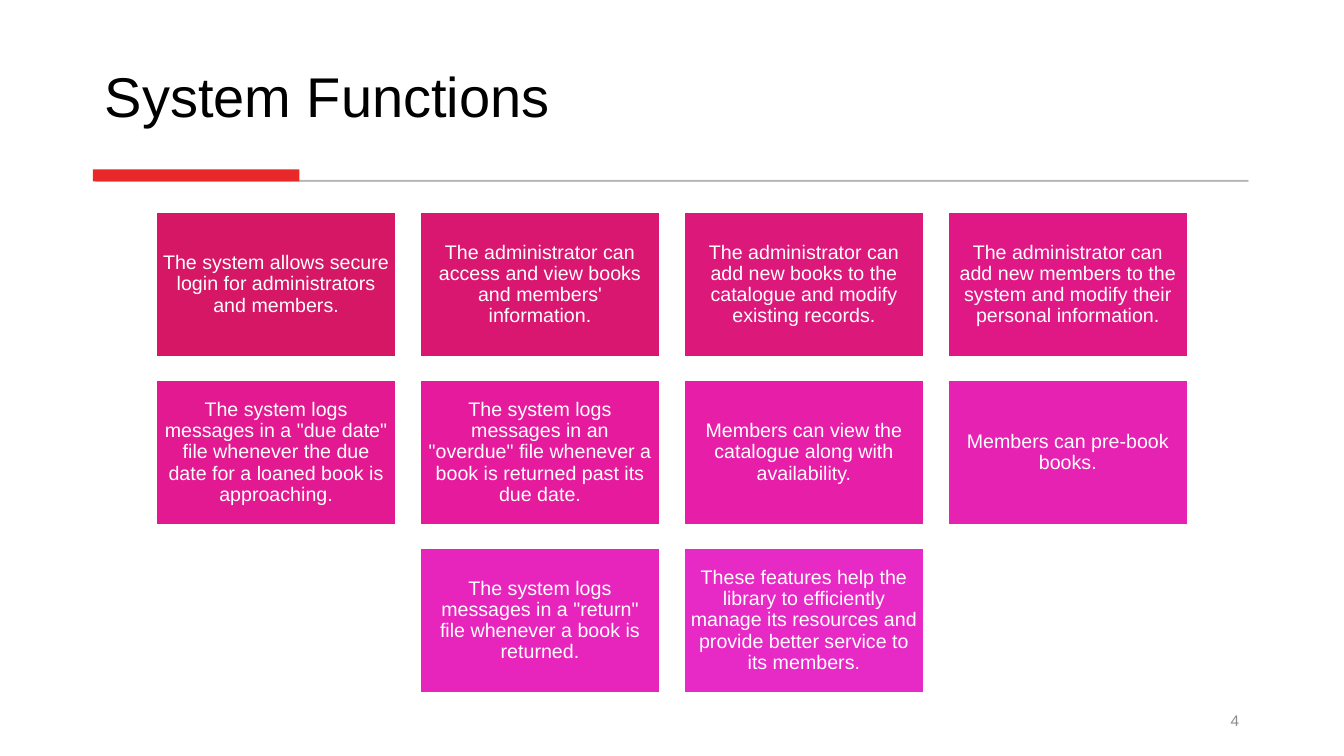
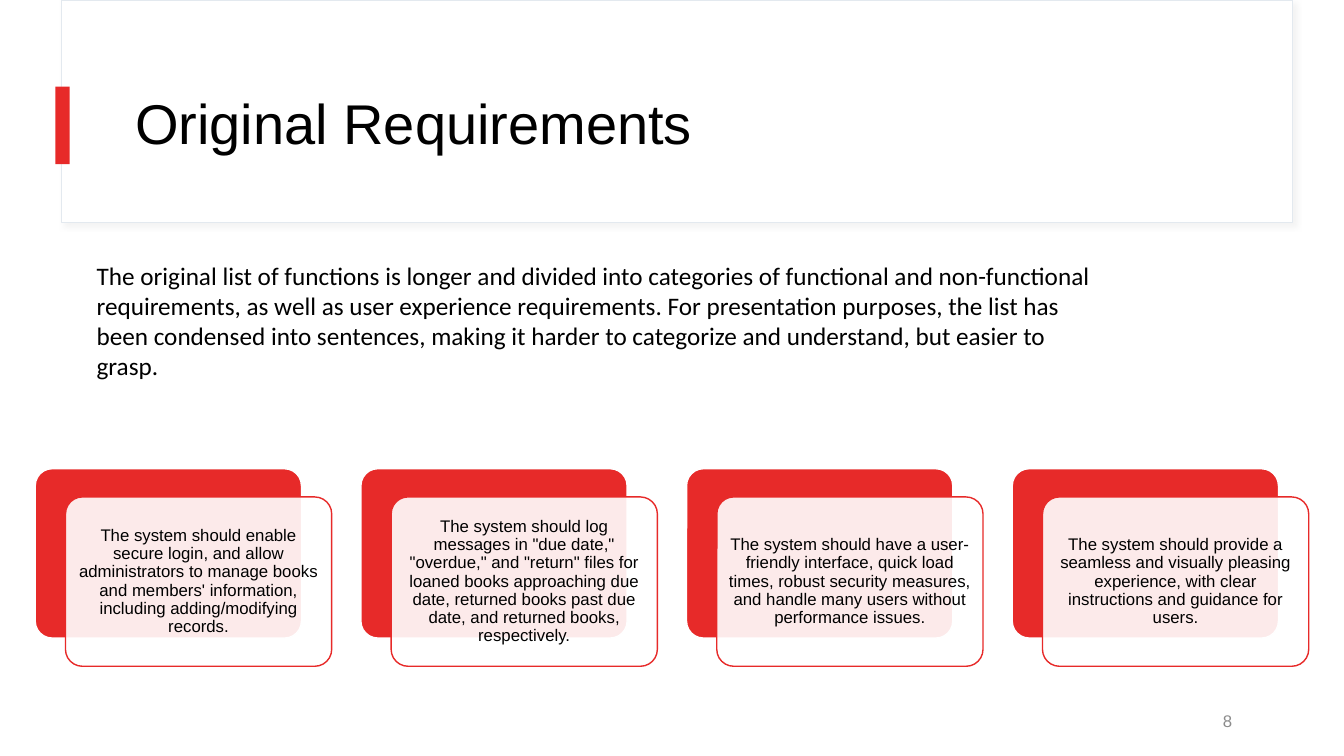
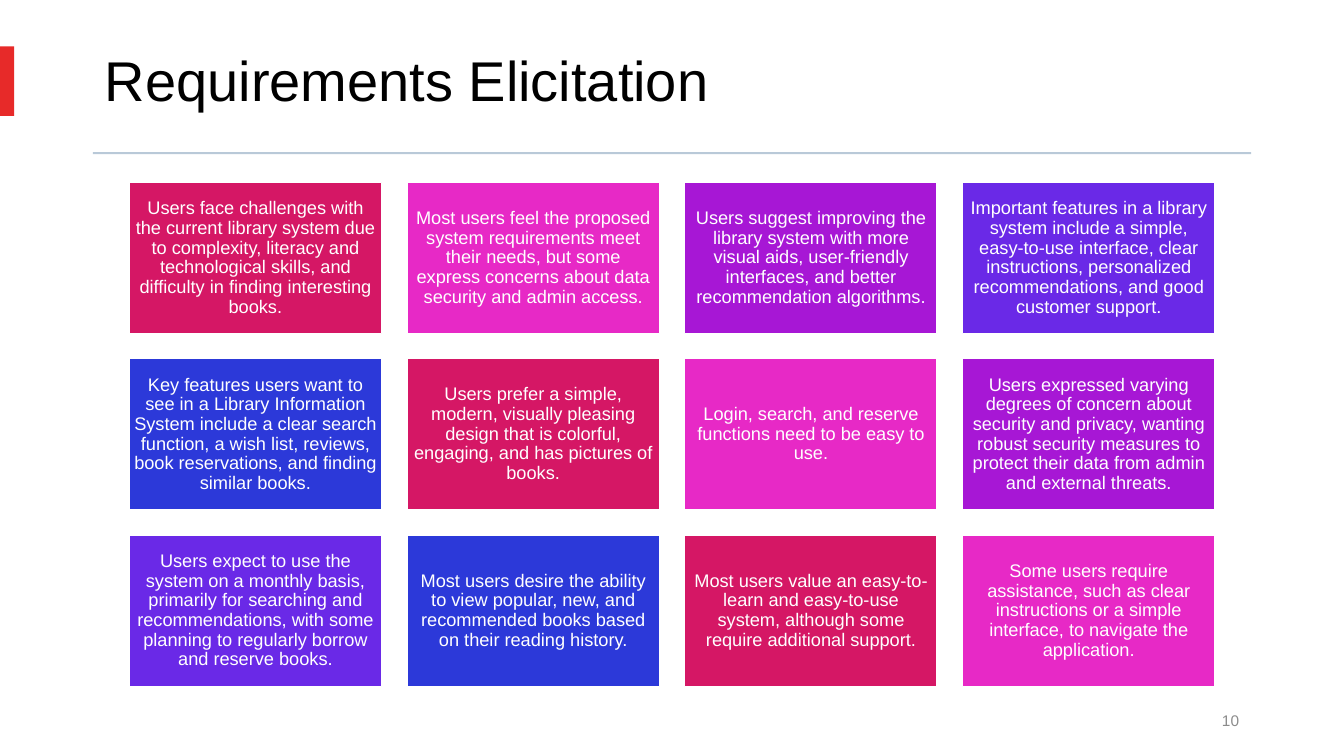
from dataclasses import dataclass
from typing import NamedTuple

from lxml import etree
from pptx import Presentation
from pptx import util as u
from pptx.dml.color import RGBColor
from pptx.enum import shapes, text
from pptx.oxml import ns

PX = 9144  # EMU per px: 100 px to the inch


@dataclass(frozen=True)
class Theme:
    font: str = "Arial"
    body_font: str = "Calibri"
    ink: str = "000000"
    paper: str = "FFFFFF"
    accent: str = "E72A29"
    page_number: str = "8C8C8C"
    dark_rule: str = "595959"
    pale_rule: str = "B9C9D8"
    panel_edge: str = "E3E9EF"
    panel_shadow: str = "D9D9D9"
    pink_ramp: tuple = ("D51765", "D91770", "DC187B", "E01886", "E31991",
                        "E61A9D", "E61EA8", "E622B2", "E725BC", "E729C6")
    colour_cycle: tuple = ("D51765", "E729C6", "A717D5", "6A29E7", "2C39D9")
    title_size: int = 40
    body_size: int = 18
    large_tile_size: int = 14
    small_tile_size: int = 13
    card_size: int = 12
    page_size: int = 11
    large_page_size: int = 12


THEME = Theme()
TITLE_INSETS = (12, 12, 12, 10)

FUNCTIONS = (
    "The system allows secure login for administrators and members.",
    "The administrator can access and view books and members' information.",
    "The administrator can add new books to the catalogue and modify existing records.",
    "The administrator can add new members to the system and modify their personal information.",
    'The system logs messages in a "due date" file whenever the due date for a loaned book is approaching.',
    'The system logs messages in an "overdue" file whenever a book is returned past its due date.',
    "Members can view the catalogue along with availability.",
    "Members can pre-book books.",
    'The system logs messages in a "return" file whenever a book is returned.',
    "These features help the library to efficiently manage its resources and provide better service to its members.",
)
REQUIREMENTS_INTRO = (
    "The original list of functions is longer and divided into categories of functional and "
    "non-functional requirements, as well as user experience requirements. For presentation "
    "purposes, the list has been condensed into sentences, making it harder to categorize and "
    "understand, but easier to grasp."
)
REQUIREMENTS = (
    "The system should enable secure login, and allow administrators to manage books and members' "
    "information, including adding/modifying records.",
    'The system should log messages in "due date," "overdue," and "return" files for loaned books '
    "approaching due date, returned books past due date, and returned books, respectively.",
    "The system should have a user-friendly interface, quick load times, robust security measures, "
    "and handle many users without performance issues.",
    "The system should provide a seamless and visually pleasing experience, with clear instructions "
    "and guidance for users.",
)
FINDINGS = (
    "Users face challenges with the current library system due to complexity, literacy and "
    "technological skills, and difficulty in finding interesting books.",
    "Most users feel the proposed system requirements meet their needs, but some express concerns "
    "about data security and admin access.",
    "Users suggest improving the library system with more visual aids, user-friendly interfaces, "
    "and better recommendation algorithms.",
    "Important features in a library system include a simple, easy-to-use interface, clear "
    "instructions, personalized recommendations, and good customer support.",
    "Key features users want to see in a Library Information System include a clear search "
    "function, a wish list, reviews, book reservations, and finding similar books.",
    "Users prefer a simple, modern, visually pleasing design that is colorful, engaging, and has "
    "pictures of books.",
    "Login, search, and reserve functions need to be easy to use.",
    "Users expressed varying degrees of concern about security and privacy, wanting robust security "
    "measures to protect their data from admin and external threats.",
    "Users expect to use the system on a monthly basis, primarily for searching and "
    "recommendations, with some planning to regularly borrow and reserve books.",
    "Most users desire the ability to view popular, new, and recommended books based on their "
    "reading history.",
    "Most users value an easy-to-learn and easy-to-use system, although some require additional support.",
    "Some users require assistance, such as clear instructions or a simple interface, to navigate "
    "the application.",
)


class Box(NamedTuple):
    left: float
    top: float
    width: float
    height: float

    def emu(self):
        return [u.Emu(round(length * PX)) for length in self]


def grid(box, count, columns, gap):
    """Yield count equal cells row by row, centring a short last row."""
    rows = -(-count // columns)
    width = (box.width - gap * (columns - 1)) / columns
    height = (box.height - gap * (rows - 1)) / rows
    for index in range(count):
        row, column = divmod(index, columns)
        missing = columns - min(columns, count - row * columns)
        yield Box(box.left + (column + missing / 2) * (width + gap),
                  box.top + row * (height + gap), width, height)


def add_box(slide, box, fill, line=None, line_width=1, rounding=None):
    kind = shapes.MSO_SHAPE.RECTANGLE if rounding is None else shapes.MSO_SHAPE.ROUNDED_RECTANGLE
    shape = slide.shapes.add_shape(kind, *box.emu())
    if rounding is not None:
        shape.adjustments[0] = rounding
    shape.shadow.inherit = False
    shape.fill.solid()
    shape.fill.fore_color.rgb = RGBColor.from_string(fill)
    if line:
        shape.line.color.rgb = RGBColor.from_string(line)
        shape.line.width = u.Pt(line_width)
    else:
        shape.line.fill.background()
    return shape


def add_child(parent, tag, **attributes):
    return etree.SubElement(parent, ns.qn(tag), {key: str(value) for key, value in attributes.items()})


def set_opacity(shape, percent, places=("a:solidFill",)):
    for place in places:
        for colour in shape.element.spPr.xpath(place + "/a:srgbClr"):
            add_child(colour, "a:alpha", val=percent * 1000)


def write(shape, words, size, colour=THEME.ink, font=THEME.font, insets=(6, 6, 6, 6),
          anchor=text.MSO_ANCHOR.MIDDLE, align=text.PP_ALIGN.CENTER, spacing=0.9):
    frame = shape.text_frame
    frame.word_wrap = True
    frame.vertical_anchor = anchor
    (frame.margin_left, frame.margin_top,
     frame.margin_right, frame.margin_bottom) = [u.Emu(inset * PX) for inset in insets]
    paragraph = frame.paragraphs[0]
    paragraph.alignment = align
    paragraph.line_spacing = spacing
    run = paragraph.add_run()
    run.text = words
    run.font.name = font
    run.font.size = u.Pt(size)
    run.font.color.rgb = RGBColor.from_string(colour)


def add_text(slide, box, words, size, **style):
    write(slide.shapes.add_textbox(*box.emu()), words, size, **style)


def add_title(slide, box, words, anchor=text.MSO_ANCHOR.MIDDLE):
    add_text(slide, box, words, THEME.title_size, insets=TITLE_INSETS,
             anchor=anchor, align=text.PP_ALIGN.LEFT)


def add_page_number(slide, right, number, size=THEME.page_size):
    add_text(slide, Box(right - 300, 695, 300, 40), number, size, colour=THEME.page_number,
             insets=TITLE_INSETS, align=text.PP_ALIGN.RIGHT)


def add_title_panel(slide, box):
    """Outlined white panel with a faint shadow and an accent tab on its left edge."""
    panel = add_box(slide, box, THEME.paper, THEME.panel_edge, 0.75)
    effects = panel.element.spPr.find(ns.qn("a:effectLst"))
    shadow = add_child(effects, "a:outerShdw", blurRad=u.Pt(4), dist=u.Pt(3),
                       dir=45 * 60000, algn="tl", rotWithShape=0)
    colour = add_child(shadow, "a:srgbClr", val=THEME.panel_shadow)
    add_child(colour, "a:alpha", val=30000)
    add_box(slide, Box(box.left - 6, box.top + 86, 14, 77), THEME.accent)


def add_tiles(slide, box, texts, colours, size, gap, inset):
    for index, (words, cell) in enumerate(zip(texts, grid(box, len(texts), 4, gap))):
        tile = add_box(slide, cell, colours[index % len(colours)], THEME.paper)
        write(tile, words, size, THEME.paper, insets=(inset,) * 4)


def add_cards(slide, box, texts):
    """Row of translucent cards, each set down and right of an accent backing."""
    shift_x, shift_y = 30, 28
    for words, cell in zip(texts, grid(box, len(texts), len(texts), 29)):
        backing = Box(cell.left, cell.top, cell.width - shift_x, cell.height - shift_y)
        front = backing._replace(left=cell.left + shift_x, top=cell.top + shift_y)
        add_box(slide, backing, THEME.accent, THEME.paper, rounding=0.1)
        card = add_box(slide, front, THEME.paper, THEME.accent, rounding=0.1)
        set_opacity(card, 90)
        write(card, words, THEME.card_size, insets=(5, 5, 5, 5))


def build_functions(slide):
    add_title(slide, Box(92, 28, 1149, 111), "System Functions", text.MSO_ANCHOR.BOTTOM)
    rule = add_box(slide, Box(95, 179, 1143, 1), THEME.dark_rule, THEME.dark_rule, 0.75)
    set_opacity(rule, 30, ("a:solidFill", "a:ln/a:solidFill"))
    add_box(slide, Box(92, 168, 205, 12), THEME.accent)
    add_page_number(slide, 1241, "4")
    add_tiles(slide, Box(155, 211, 1023, 476), FUNCTIONS, THEME.pink_ramp,
              THEME.large_tile_size, gap=24, inset=6)


def build_requirements(slide):
    add_title_panel(slide, Box(61, 0, 1221, 221))
    add_title(slide, Box(122, 60, 1112, 129), "Original Requirements")
    add_cards(slide, Box(35, 465, 1263, 196), REQUIREMENTS)
    add_page_number(slide, 1234, "8", THEME.large_page_size)
    add_text(slide, Box(86, 253, 1015, 162), REQUIREMENTS_INTRO, THEME.body_size,
             font=THEME.body_font, insets=(10, 5, 10, 5), anchor=text.MSO_ANCHOR.TOP,
             align=text.PP_ALIGN.LEFT, spacing=1.0)


def build_elicitation(slide):
    add_title(slide, Box(92, 27, 1149, 110), "Requirements Elicitation")
    add_box(slide, Box(0, 46, 14, 69), THEME.accent)
    add_box(slide, Box(92, 151, 1149, 2), THEME.pale_rule)
    add_page_number(slide, 1241, "10")
    add_tiles(slide, Box(128, 181, 1077, 500), FINDINGS, THEME.colour_cycle,
              THEME.small_tile_size, gap=25, inset=5)


def main():
    presentation = Presentation()
    presentation.slide_width = u.Emu(1333 * PX)
    presentation.slide_height = u.Emu(750 * PX)
    blank = presentation.slide_layouts[6]
    for build in (build_functions, build_requirements, build_elicitation):
        build(presentation.slides.add_slide(blank))
    presentation.save("out.pptx")


if __name__ == "__main__":
    main()
